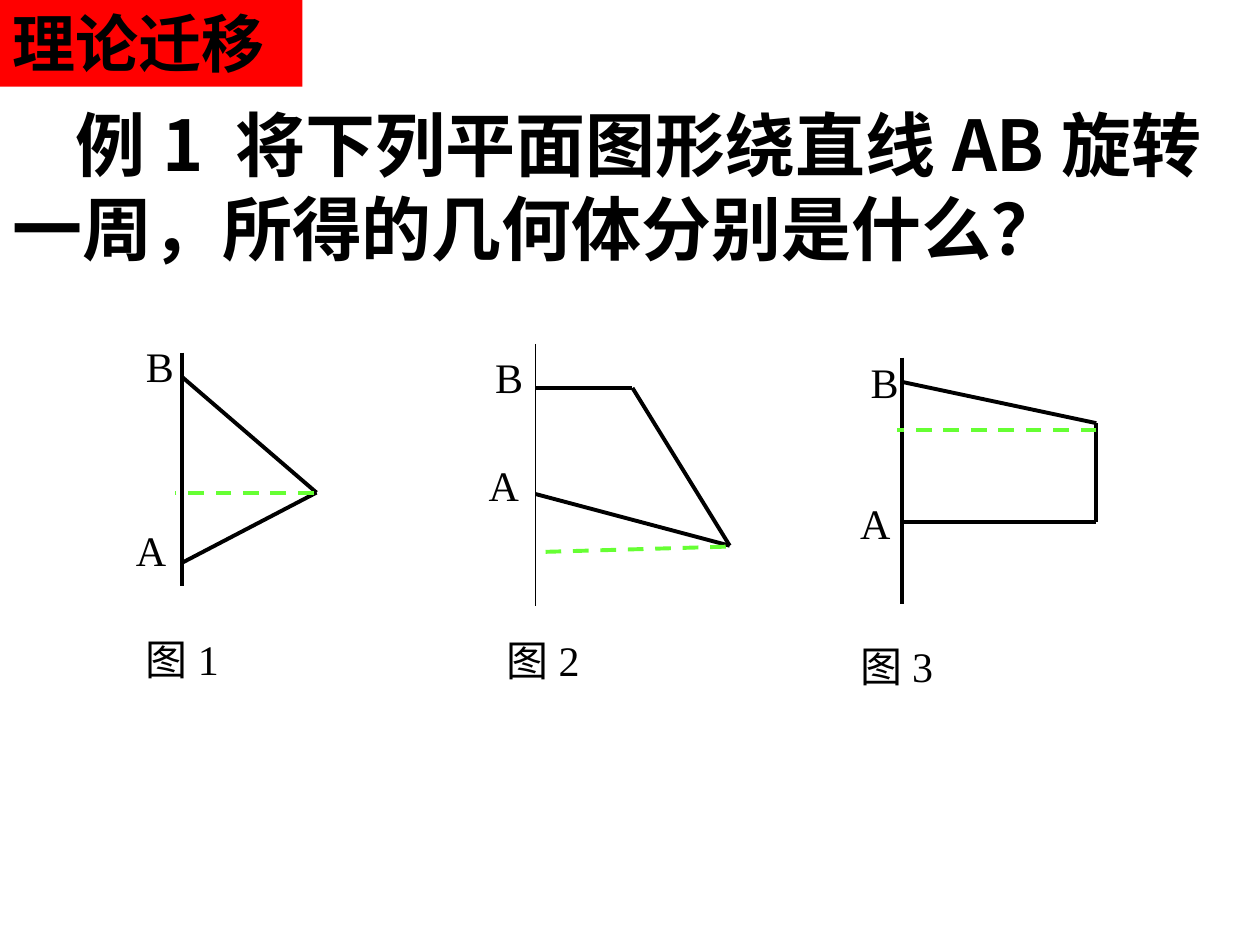
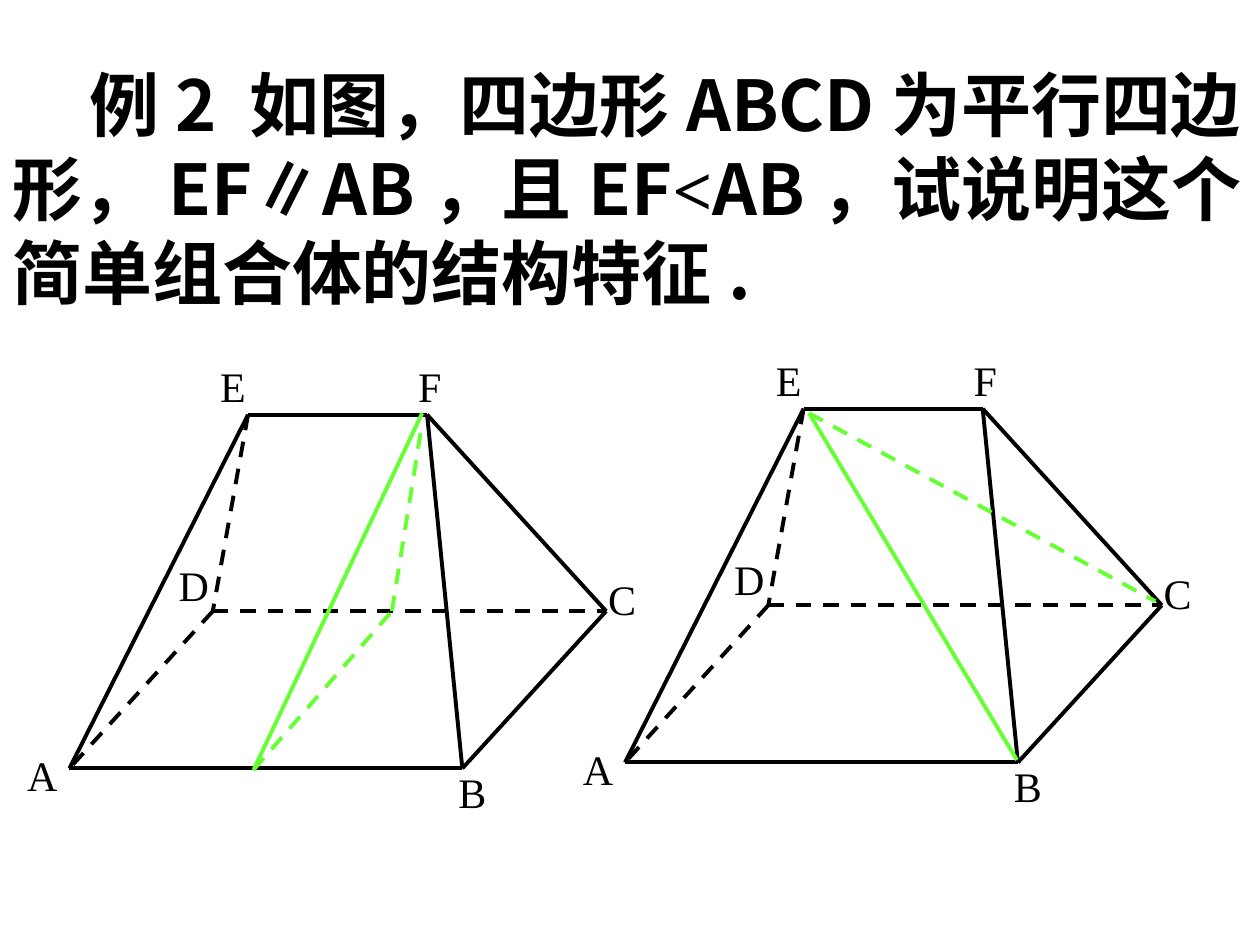
from dataclasses import dataclass
from typing import NamedTuple

from lxml.etree import SubElement
from pptx import Presentation
from pptx.dml.color import RGBColor
from pptx.enum.dml import MSO_LINE
from pptx.enum.shapes import MSO_CONNECTOR, MSO_SHAPE
from pptx.enum.text import PP_ALIGN
from pptx.oxml.ns import qn
from pptx.util import Cm, Pt

COLORS = {"ink": "000000", "band": "FF0000", "helper": "66FF33"}
CJK_FONT = "Noto Sans CJK SC"
LABEL_FONT = "Times New Roman"
THICK, THIN = 2.25, 0.75


class Point(NamedTuple):
    x: float
    y: float

    def shifted(self, offset: "Point") -> "Point":
        return Point(self.x + offset.x, self.y + offset.y)


class Edge(NamedTuple):
    start: Point
    end: Point
    color: str = "ink"
    dashed: bool = False
    width: float = THICK


class Label(NamedTuple):
    text: str
    at: Point
    width: float
    height: float


@dataclass
class RotationFigure:
    """A plane outline beside the axis AB that it turns about."""
    caption: str
    axis: Edge
    outline: list[Point]
    helper: Edge
    a_at: Point
    b_at: Point
    caption_at: Point
    label_width: float
    caption_width: float
    label_height: float


ROTATION_FIGURES = [
    RotationFigure(
        "图1", Edge(Point(3.66, 7.11), Point(3.66, 11.81)),
        [Point(3.66, 11.35), Point(6.38, 9.93), Point(3.66, 7.59)],
        Edge(Point(6.32, 9.93), Point(3.53, 9.93), "helper", True),
        Point(2.49, 10.44), Point(2.69, 6.73), Point(2.69, 12.65), 2.03, 2.72, 1.5),
    RotationFigure(
        "图2", Edge(Point(10.8, 6.93), Point(10.8, 12.22), width=THIN),
        [Point(10.8, 7.82), Point(12.75, 7.82), Point(14.71, 11), Point(10.8, 9.96)],
        Edge(Point(14.63, 11.02), Point(10.8, 11.13), "helper", True),
        Point(9.6, 9.14), Point(9.73, 6.96), Point(9.96, 12.67), 1.96, 2.59, 1.6),
    RotationFigure(
        "图3", Edge(Point(18.19, 7.21), Point(18.19, 12.17)),
        [Point(18.19, 10.52), Point(22.1, 10.52), Point(22.1, 8.53), Point(18.19, 7.7)],
        Edge(Point(22.1, 8.66), Point(18.08, 8.66), "helper", True),
        Point(17.09, 9.91), Point(17.3, 7.06), Point(17.09, 12.78), 2.34, 3.12, 1.5),
]

SOLID_VERTICES = {
    "A": Point(1.4, 15.49), "B": Point(9.32, 15.49), "C": Point(12.22, 12.32),
    "D": Point(4.29, 12.32), "E": Point(5, 8.36), "F": Point(8.61, 8.36),
}
VISIBLE_EDGES = ["EF", "AB", "CB", "CF", "FB", "EA"]
HIDDEN_EDGES = ["DC", "ED", "DA"]
SOLID_LABELS = [
    Label("A", Point(0.3, 14.99), 1.68, 1.55),
    Label("B", Point(8.99, 15.32), 1.55, 1.37),
    Label("C", Point(12.01, 11.43), 1.55, 1.3),
    Label("D", Point(3.35, 11.15), 1.83, 1.57),
    Label("E", Point(4.19, 7.14), 2.01, 1.4),
    Label("F", Point(8.18, 7.14), 1.6, 1.6),
]
SECOND_SOLID_OFFSET = Point(11.2, -0.12)

CUT_TOP, CUT_FRONT, CUT_BACK = Point(8.51, 8.33), Point(5.11, 15.52), Point(7.9, 12.32)
PRISM_CUT = [
    Edge(CUT_TOP, CUT_FRONT, "helper"),
    Edge(CUT_FRONT, CUT_BACK, "helper", True),
    Edge(CUT_BACK, Point(8.51, 8.53), "helper", True),
]
APEX = Point(16.31, 8.33)
PYRAMID_CUT = [
    Edge(APEX, Point(20.5, 15.32), "helper"),
    Edge(APEX, Point(23.29, 12.12), "helper", True),
]


def rgb(name: str) -> RGBColor:
    return RGBColor.from_string(COLORS[name])


def style_paragraph(paragraph, font_name: str, size: float, bold: bool = False) -> None:
    font = paragraph.font
    font.size, font.bold, font.name = Pt(size), bold, font_name
    font.color.rgb = rgb("ink")
    east_asian = SubElement(paragraph._p.pPr.find(qn("a:defRPr")), qn("a:ea"))
    east_asian.set("typeface", CJK_FONT)


def draw_edge(shapes, edge: Edge) -> None:
    line = shapes.add_connector(
        MSO_CONNECTOR.STRAIGHT, Cm(edge.start.x), Cm(edge.start.y),
        Cm(edge.end.x), Cm(edge.end.y))
    line.line.color.rgb = rgb(edge.color)
    line.line.width = Pt(edge.width)
    if edge.dashed:
        line.line.dash_style = MSO_LINE.DASH
    SubElement(line._element.spPr, qn("a:effectLst"))


def add_paragraph_box(shapes, at: Point, width: float, height: float):
    """Return the first paragraph of a new wrapping text box."""
    frame = shapes.add_textbox(Cm(at.x), Cm(at.y), Cm(width), Cm(height)).text_frame
    frame.word_wrap = True
    return frame.paragraphs[0]


def draw_label(shapes, label: Label, alignment=PP_ALIGN.LEFT) -> None:
    paragraph = add_paragraph_box(shapes, label.at, label.width, label.height)
    paragraph.text = label.text
    paragraph.alignment = alignment
    style_paragraph(paragraph, LABEL_FONT, 24)


def draw_question(shapes, runs: list[str], at: Point, width: float,
                  height: float, indent: float) -> None:
    """Write a problem statement; a lone "<" is set in the label font."""
    paragraph = add_paragraph_box(shapes, at, width, height)
    paragraph._p.get_or_add_pPr().set("indent", str(Cm(indent)))
    style_paragraph(paragraph, CJK_FONT, 40, bold=True)
    for text in runs:
        run = paragraph.add_run()
        run.text = text
        if text == "<":
            run.font.name = LABEL_FONT


def draw_section_band(shapes, text: str) -> None:
    band = shapes.add_shape(MSO_SHAPE.RECTANGLE, 0, Cm(-0.03), Cm(6.1), Cm(1.78))
    band.shadow.inherit = False
    band.fill.solid()
    band.fill.fore_color.rgb = rgb("band")
    band.line.fill.background()
    paragraph = band.text_frame.paragraphs[0]
    paragraph.text = text
    paragraph.alignment = PP_ALIGN.LEFT
    style_paragraph(paragraph, "Arial", 36, bold=True)


def draw_rotation_figure(shapes, figure: RotationFigure) -> None:
    group = shapes.add_group_shape().shapes
    draw_edge(group, figure.axis)
    for start, end in zip(figure.outline, figure.outline[1:]):
        draw_edge(group, Edge(start, end))
    for text, at, width in (("A", figure.a_at, figure.label_width),
                            ("B", figure.b_at, figure.label_width),
                            (figure.caption, figure.caption_at, figure.caption_width)):
        draw_label(group, Label(text, at, width, figure.label_height))


def draw_solid(shapes, offset: Point) -> None:
    group = shapes.add_group_shape().shapes
    vertices = {name: at.shifted(offset) for name, at in SOLID_VERTICES.items()}
    for start, end in VISIBLE_EDGES + HIDDEN_EDGES:
        draw_edge(group, Edge(vertices[start], vertices[end],
                              dashed=start + end in HIDDEN_EDGES))
    for label in SOLID_LABELS:
        draw_label(group, label._replace(at=label.at.shifted(offset)), PP_ALIGN.JUSTIFY)


def draw_cut(shapes, edges: list[Edge]) -> None:
    group = shapes.add_group_shape().shapes
    for edge in edges:
        draw_edge(group, edge)


def build_rotation_slide(shapes) -> None:
    for figure in ROTATION_FIGURES:
        draw_rotation_figure(shapes, figure)
    draw_question(shapes, ["例1 将下列平面图形绕直线AB旋转一周，所得的几何体分别是什么？"],
                  Point(0, 1.93), 24.9, 3.66, indent=1.27)
    draw_section_band(shapes, "理论迁移")
    for figure in ROTATION_FIGURES:
        draw_edge(shapes, figure.helper)


def build_solid_slide(shapes) -> None:
    draw_question(shapes, ["例2 如图，四边形ABCD为平行四边形，EF∥AB，且EF", "<",
                           "AB，试说明这个简单组合体的结构特征."],
                  Point(0, 1.12), 25.4, 5.33, indent=1.55)
    draw_solid(shapes, Point(0, 0))
    draw_cut(shapes, PRISM_CUT)
    draw_solid(shapes, SECOND_SOLID_OFFSET)
    draw_cut(shapes, PYRAMID_CUT)


def main() -> None:
    presentation = Presentation()
    presentation.slide_width, presentation.slide_height = Cm(25.4), Cm(19.05)
    blank = presentation.slide_layouts[6]
    for build in (build_rotation_slide, build_solid_slide):
        build(presentation.slides.add_slide(blank).shapes)
    presentation.save("out.pptx")


if __name__ == "__main__":
    main()
